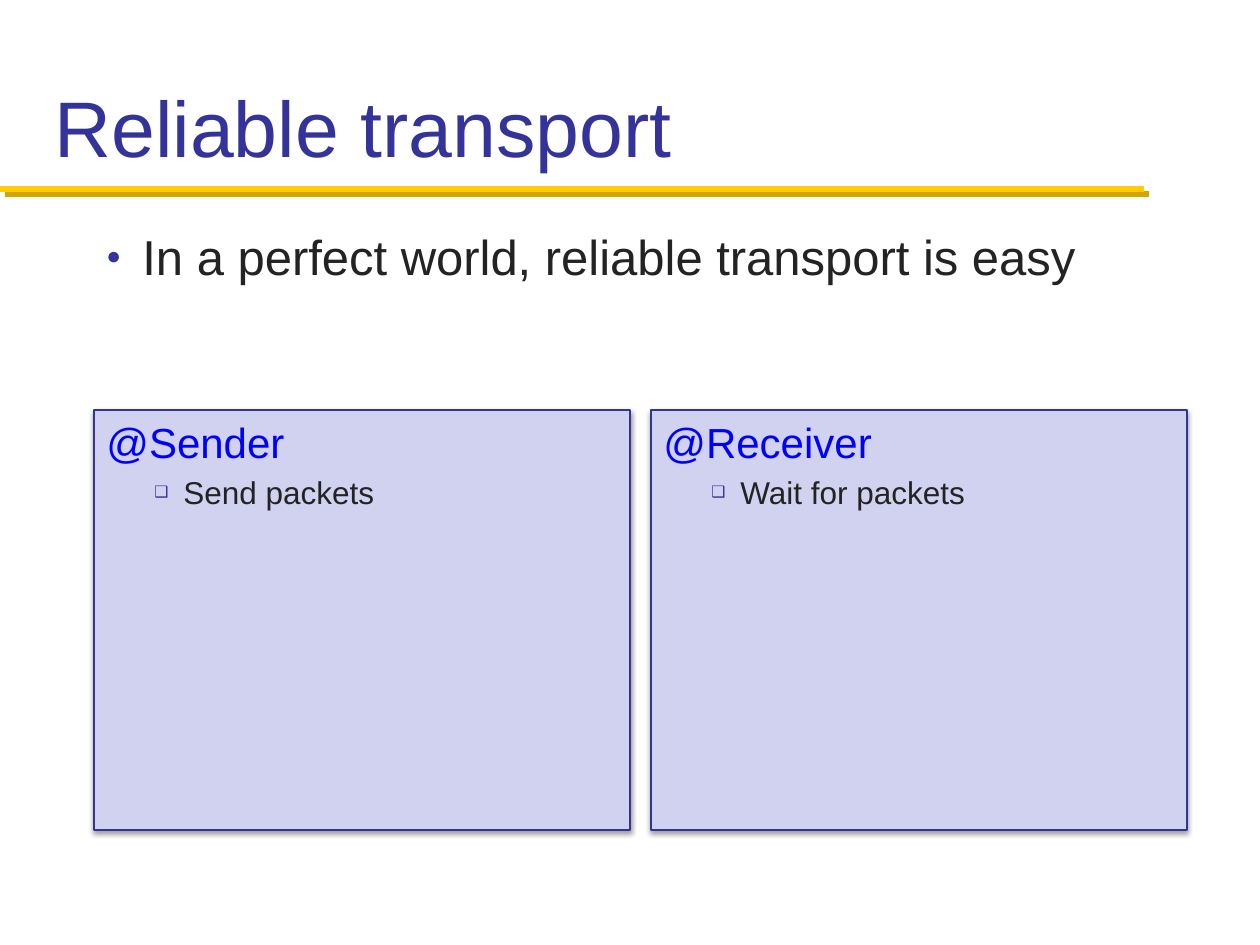
import pptx
import pptx.util
import pptx.dml.color
import pptx.enum.shapes
import pptx.enum.text
import lxml.etree

TITLE = "Reliable transport"
POINT = "In a perfect world, reliable transport is easy"
PANELS = [("@Sender", "Send packets"), ("@Receiver", "Wait for packets")]

THEME = {
    "font": "Arial",
    "navy": "333399", "blue": "0000FF", "ink": "232323",
    "panel": "D1D1F0", "gold": "FFCB05", "ochre": "D3A600", "black": "000000",
    "title": 45, "point": 28, "head": 24, "item": 18,
}
PX = 914400 // 126
BOX = {"title": (42, 21, 1176, 158), "point": (94, 220, 1092, 105)}
LEFT, TOP, WIDE, HIGH, GAP = 94, 410, 536, 420, 21
RULE = (0, 189, 1144, 189)
ANCHOR = pptx.enum.text.MSO_ANCHOR
NS = "http://schemas.openxmlformats.org/drawingml/2006/main"


def px(*vals):
    return [pptx.util.Emu(v * PX) for v in vals]


def color(name):
    return pptx.dml.color.RGBColor.from_string(THEME[name])


def node(top, tag, **attrs):
    return lxml.etree.SubElement(top, "{%s}%s" % (NS, tag), attrs)


def shade(part, tone, alpha, blur, dist, angle):
    props = part._element.spPr
    for old in props.findall("{%s}effectLst" % NS):
        props.remove(old)
    cast = node(node(props, "effectLst"), "outerShdw",
                blurRad=str(int(blur * 12700)), dist=str(int(dist * 12700)),
                dir=str(angle * 60000), algn="ctr", rotWithShape="0")
    node(node(cast, "srgbClr", val=THEME[tone]), "alpha", val=str(alpha * 1000))


def write(para, text, size, tone, before=0.2, mark=None, left=0, hang=0):
    para.alignment = pptx.enum.text.PP_ALIGN.LEFT
    para.space_before = pptx.util.Pt(round(THEME[size] * before, 1))
    run = para.add_run()
    run.text = text
    run.font.name = THEME["font"]
    run.font.size = pptx.util.Pt(THEME[size])
    run.font.color.rgb = color(tone)
    if mark:
        props = para._p.get_or_add_pPr()
        props.set("marL", str(left * PX))
        props.set("indent", str(-hang * PX))
        node(node(props, "buClr"), "srgbClr", val=THEME["navy"])
        node(props, "buSzPct", val="50000")
        node(props, "buFont", typeface=THEME["font"])
        node(props, "buChar", char=mark)


def setup(part, anchor=ANCHOR.TOP):
    frame = part.text_frame
    frame.word_wrap = True
    frame.vertical_anchor = anchor
    return frame


deck = pptx.Presentation()
deck.slide_width, deck.slide_height = px(1260, 945)
slide = deck.slides.add_slide(deck.slide_layouts[6])
shapes = slide.shapes

rule = shapes.add_connector(pptx.enum.shapes.MSO_CONNECTOR.STRAIGHT, *px(*RULE))
rule.line.color.rgb = color("gold")
rule.line.width = pptx.util.Pt(3.5)
shade(rule, "ochre", 100, 0, 4.2, 45)

title = setup(shapes.add_textbox(*px(*BOX["title"])), ANCHOR.BOTTOM)
write(title.paragraphs[0], TITLE, "title", "navy", before=0)

for col, (head, item) in enumerate(PANELS):
    panel = shapes.add_shape(pptx.enum.shapes.MSO_SHAPE.RECTANGLE,
                             *px(LEFT + col * (WIDE + GAP), TOP, WIDE, HIGH))
    panel.fill.solid()
    panel.fill.fore_color.rgb = color("panel")
    panel.line.color.rgb = color("navy")
    panel.line.width = pptx.util.Pt(0.75)
    shade(panel, "black", 38, 3.1, 1.6, 90)
    frame = setup(panel)
    write(frame.paragraphs[0], head, "head", "blue")
    para = frame.add_paragraph()
    para.level = 1
    write(para, item, "item", "ink", mark="\u2751", left=77, hang=29)

point = setup(shapes.add_textbox(*px(*BOX["point"])))
write(point.paragraphs[0], POINT, "point", "ink", mark="\u25cf", left=36, hang=36)

deck.save("out.pptx")
